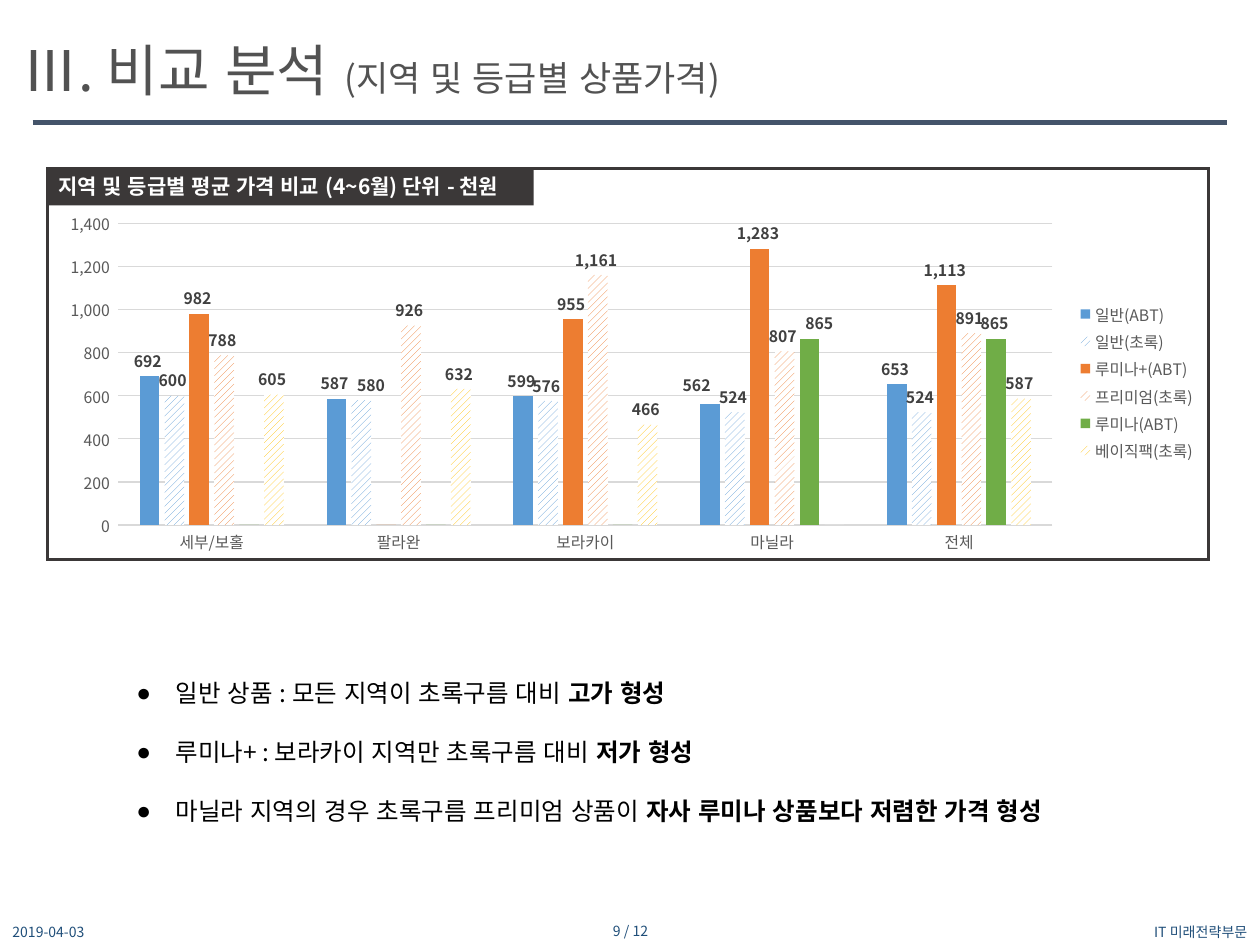
from copy import deepcopy

from lxml import etree
from pptx import Presentation
from pptx.chart.data import CategoryChartData
from pptx.dml.color import RGBColor
from pptx.enum.chart import (XL_CHART_TYPE, XL_LABEL_POSITION,
                             XL_LEGEND_POSITION, XL_TICK_MARK)
from pptx.enum.dml import MSO_PATTERN
from pptx.enum.lang import MSO_LANGUAGE_ID
from pptx.enum.shapes import MSO_CONNECTOR, MSO_SHAPE
from pptx.enum.text import MSO_ANCHOR, MSO_AUTO_SIZE, PP_ALIGN
from pptx.oxml.ns import qn
from pptx.util import Inches, Pt

BARS = XL_CHART_TYPE.COLUMN_CLUSTERED
OUTER = XL_LABEL_POSITION.OUTSIDE_END
RIGHT_KEY = XL_LEGEND_POSITION.RIGHT
NO_TICK = XL_TICK_MARK.NONE
STRIPES = MSO_PATTERN.WIDE_UPWARD_DIAGONAL
KOREAN = MSO_LANGUAGE_ID.KOREAN
STRAIGHT = MSO_CONNECTOR.STRAIGHT
RECT = MSO_SHAPE.RECTANGLE
TOP, MIDDLE = MSO_ANCHOR.TOP, MSO_ANCHOR.MIDDLE
FIT, FIXED = MSO_AUTO_SIZE.SHAPE_TO_FIT_TEXT, MSO_AUTO_SIZE.NONE
LEFT, CENTER, RIGHT = PP_ALIGN.LEFT, PP_ALIGN.CENTER, PP_ALIGN.RIGHT

FACE = "Noto Sans CJK KR"
DARK, GRAY, PALE, NAVY = "3B3838", "595959", "D9D9D9", "1F4E79"
COLS, ROWS = 100, 75
THOUSANDS = "#,#0#,_-"


def color(code):
    return RGBColor.from_string(code)


def assign(item, **values):
    for name, value in values.items():
        setattr(item, name, value)


class Page:
    """Holds the style and the current slide; lengths are grid cells."""

    def __init__(self, deck):
        self.slide = deck.slides.add_slide(deck.slide_layouts[6])
        self.shapes = self.slide.shapes
        self.col = deck.slide_width / COLS
        self.row = deck.slide_height / ROWS

    def grid(self, x, y, w, h):
        return [round(n * unit) for n, unit in
                zip((x, y, w, h), (self.col, self.row) * 2)]

    def font(self, font, size, code, bold=False):
        assign(font, name=FACE, size=Pt(size), bold=bold, language_id=KOREAN)
        font.color.rgb = color(code)
        latin = font._rPr.find(qn("a:latin"))
        latin.addnext(etree.Element(qn("a:ea"), typeface=FACE))

    def stroke(self, line, code, width):
        line.color.rgb = color(code)
        line.width = Pt(width)

    def box(self, area, fill=None, line=None):
        shape = self.shapes.add_shape(RECT, *self.grid(*area))
        shape.shadow.inherit = False
        if fill:
            shape.fill.solid()
            shape.fill.fore_color.rgb = color(fill)
        else:
            shape.fill.background()
        if line:
            self.stroke(shape.line, line, 1.5)
            edge = shape._element.spPr.find(qn("a:ln"))
            etree.SubElement(edge, qn("a:miter"), lim="800000")
        else:
            shape.line.fill.background()

    def rule(self, x1, x2, y, code, width):
        line = self.shapes.add_connector(STRAIGHT, *self.grid(x1, y, x2, y))
        self.stroke(line.line, code, width)
        etree.SubElement(line._element.spPr, qn("a:effectLst"))

    def text(self, area, lines, align=LEFT, anchor=TOP, fit=FIXED,
             bullet=None):
        """Each line is a list of (text, size, colour, bold) runs."""
        frame = self.shapes.add_textbox(*self.grid(*area)).text_frame
        assign(frame, word_wrap=True, auto_size=fit, vertical_anchor=anchor)
        for i, runs in enumerate(lines):
            para = frame.add_paragraph() if i else frame.paragraphs[0]
            para.alignment = align
            if bullet:
                self.bullet(para, bullet)
            for words, *look in runs:
                run = para.add_run()
                run.text = words
                self.font(run.font, *look)

    def bullet(self, para, mark):
        para.line_spacing = 2.0
        props = para._p.get_or_add_pPr()
        indent = Inches(0.31)
        props.set("marL", str(indent))
        props.set("indent", str(-indent))
        etree.SubElement(props, qn("a:buFont"), typeface="Arial")
        etree.SubElement(props, qn("a:buChar"), char=mark)

    def chart(self, area, cats, rows, shifts):
        data = CategoryChartData(number_format="General")
        data.categories = cats
        for name, _, _, values in rows:
            data.add_series(name, [n * 1000 for n in values])
        chart = self.shapes.add_chart(BARS, *self.grid(*area), data).chart
        assign(chart, has_title=False, has_legend=True)
        self.font(chart.font, 10, "000000")
        assign(chart.legend, position=RIGHT_KEY, include_in_layout=False)
        self.font(chart.legend.font, 9, GRAY)

        # Axes
        for axis in (chart.category_axis, chart.value_axis):
            assign(axis, major_tick_mark=NO_TICK, minor_tick_mark=NO_TICK)
            self.font(axis.tick_labels.font, 9, GRAY)
        self.stroke(chart.category_axis.format.line, PALE, 0.75)
        axis = chart.value_axis
        assign(axis, minimum_scale=0, maximum_scale=1400000,
               major_unit=200000, has_major_gridlines=True)
        axis.format.line.fill.background()
        self.stroke(axis.major_gridlines.format.line, PALE, 0.75)
        assign(axis.tick_labels, number_format=THOUSANDS,
               number_format_is_linked=False)

        # Bars; the label format leaves zeros blank
        plot = chart.plots[0]
        assign(plot, gap_width=219, overlap=-27, vary_by_categories=False)
        for series, (_, code, striped, _) in zip(plot.series, rows):
            fill = series.format.fill
            if striped:
                fill.patterned()
                fill.pattern = STRIPES
                fill.back_color.rgb = color("FFFFFF")
            else:
                fill.solid()
            fill.fore_color.rgb = color(code)
            series.invert_if_negative = False
            labels = series.data_labels
            assign(labels, show_value=True, position=OUTER,
                   number_format=THOUSANDS + ";;",
                   number_format_is_linked=False)
            self.font(labels.font, 9, "404040", True)
        for (row, spot), move in shifts.items():
            self.shift(plot.series[row], spot, *move)

    def shift(self, series, spot, x, y):
        """Moves one label by shares of the chart's size."""
        label = series.points[spot].data_label
        self.font(label.font, 9, "404040", True)
        label.position = OUTER
        node = label._dLbl
        place = etree.Element(qn("c:layout"))
        manual = etree.SubElement(place, qn("c:manualLayout"))
        for axis, share in (("x", x), ("y", y)):
            etree.SubElement(manual, qn("c:" + axis), val=str(share))
        style = series.data_labels._element.find(qn("c:numFmt"))
        node.find(qn("c:idx")).addnext(place)
        place.addnext(deepcopy(style))


def main():
    deck = Presentation()
    assign(deck, slide_width=Inches(10), slide_height=Inches(7.5))
    page = Page(deck)

    # Chart heading
    page.box((3.75, 13.3, 38.6, 3), fill=DARK)
    page.text((3.65, 13.3, 42.1, 3), [[
        ("지역 및 등급별 평균 가격 비교 (4~6월) 단위 - 천원", 12, "FFFFFF", True)]],
        fit=FIT)

    # Title
    page.text((0.8, 2.3, 96.6, 6.4), [[
        ("Ⅲ. 비교 분석 ", 32, "525252"),
        ("(지역 및 등급별 상품가격)", 20, "525252")]], fit=FIT)
    page.rule(2.6, 97.4, 9.7, "44546A", 3)

    # Footer
    for x, y, w, words, align in ((0, 73, 22.5, "2019-04-03", LEFT),
                                  (38.8, 72.9, 22.5, "9 / 12", CENTER),
                                  (81, 72.95, 19, "IT 미래전략부문", RIGHT)):
        page.text((x, y, w, 2), [[(words, 8, NAVY)]], align, MIDDLE)

    # Price chart in its frame
    page.box((3.75, 13.35, 92.15, 31.05), line=DARK)
    blue, orange, green, gold = "5B9BD5", "ED7D31", "70AD47", "FFC000"
    page.chart(
        (3.75, 16.3, 92.15, 28.1),
        ["세부/보홀", "팔라완", "보라카이", "마닐라", "전체"],
        [("일반(ABT)", blue, False, (692, 587, 599, 562, 653)),
         ("일반(초록)", blue, True, (600, 580, 576, 524, 524)),
         ("루미나+(ABT)", orange, False, (982, 0, 955, 1283, 1113)),
         ("프리미엄(초록)", orange, True, (788, 926, 1161, 807, 891)),
         ("루미나(ABT)", green, False, (0, 0, 0, 865, 865)),
         ("베이직팩(초록)", gold, True, (605, 632, 466, 0, 587))],
        {(0, 3): (-0.01, -0.01), (1, 1): (0.01, 0), (4, 3): (0.01, 0)})

    # Findings
    notes = (("일반 상품 : 모든 지역이 초록구름 대비 ", "고가 형성"),
             ("루미나+ : 보라카이 지역만 초록구름 대비 ", "저가 형성"),
             ("마닐라 지역의 경우 초록구름 프리미엄 상품이 ",
              "자사 루미나 상품보다 저렴한 가격 형성"))
    page.text((9.85, 51, 81.7, 15.1),
              [[(lead, 14, "000000"), (point, 14, "000000", True)]
               for lead, point in notes], fit=FIT, bullet="●")

    deck.save("out.pptx")


if __name__ == "__main__":
    main()
